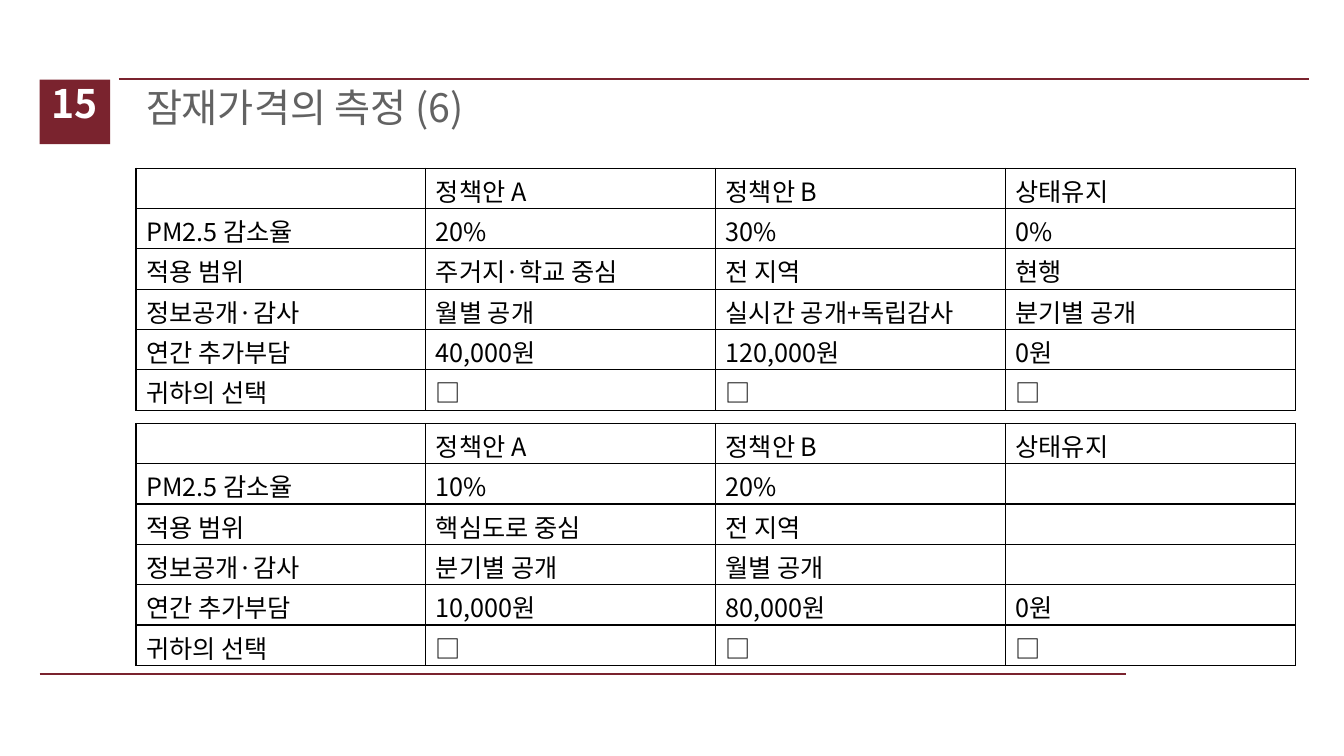
from lxml.etree import SubElement
from pptx import Presentation
from pptx.dml.color import RGBColor
from pptx.enum.shapes import MSO_CONNECTOR, MSO_SHAPE
from pptx.enum.text import MSO_ANCHOR, PP_ALIGN
from pptx.oxml.ns import qn
from pptx.util import Pt

FONT = "Noto Sans CJK KR"
WINE = RGBColor(0x7A, 0x23, 0x2E)
GRAY = RGBColor(0x62, 0x62, 0x62)
WHITE = RGBColor(0xFF, 0xFF, 0xFF)
BLACK = RGBColor(0, 0, 0)


def add_run(paragraph, text, size, color, bold=False):
    run = paragraph.add_run()
    run.text = text
    run.font.size = Pt(size)
    run.font.name = FONT
    run.font.bold = bold
    run.font.color.rgb = color
    SubElement(run.font._element, qn("a:ea"), typeface=FONT)


def add_borders(cell):
    properties = cell._tc.get_or_add_tcPr()
    for index, side in enumerate(("a:lnL", "a:lnR", "a:lnT", "a:lnB")):
        line = SubElement(properties, qn(side), w=str(Pt(1)))
        fill = SubElement(line, qn("a:solidFill"))
        SubElement(fill, qn("a:srgbClr"), val=str(BLACK))
        properties.remove(line)
        properties.insert(index, line)


presentation = Presentation()
presentation.slide_width = Pt(960)
presentation.slide_height = Pt(540)
slide = presentation.slides.add_slide(presentation.slide_layouts[6])

# Rules above and below the content
for left, right, top in ((85, 935.3, 56.5), (28.4, 804.2, 481.7)):
    rule = slide.shapes.add_connector(
        MSO_CONNECTOR.STRAIGHT, Pt(left), Pt(top), Pt(right), Pt(top))
    rule.line.color.rgb = WINE
    rule.line.width = Pt(1.5)
    SubElement(rule._element.spPr, qn("a:effectLst"))

# Square behind the page number
square = slide.shapes.add_shape(
    MSO_SHAPE.RECTANGLE, Pt(28.4), Pt(56.9), Pt(50.4), Pt(46))
square.shadow.inherit = False
square.fill.solid()
square.fill.fore_color.rgb = WINE
square.line.fill.background()

# Page number and title
headings = (
    ("15", 28.4, 56.9, 50.4, 0, PP_ALIGN.CENTER, WHITE, True),
    ("잠재가격의 측정 (6)", 97.2, 59.8, 760, 7.2, PP_ALIGN.LEFT, GRAY, False),
)
for text, left, top, width, inset, alignment, color, bold in headings:
    box = slide.shapes.add_textbox(Pt(left), Pt(top), Pt(width), Pt(41))
    frame = box.text_frame
    frame.word_wrap = True
    frame.margin_left = frame.margin_right = Pt(inset)
    frame.margin_top = frame.margin_bottom = 0
    frame.paragraphs[0].alignment = alignment
    add_run(frame.paragraphs[0], text, 28, color, bold)

# Choice cards: three options by attribute
HEADER = ("", "정책안 A", "정책안 B", "상태유지")
CHOICE = ("귀하의 선택", "□", "□", "□")
cards = (
    (120.2, (
        HEADER,
        ("PM2.5 감소율", "20%", "30%", "0%"),
        ("적용 범위", "주거지·학교 중심", "전 지역", "현행"),
        ("정보공개·감사", "월별 공개", "실시간 공개+독립감사", "분기별 공개"),
        ("연간 추가부담", "40,000원", "120,000원", "0원"),
        CHOICE)),
    (302.4, (
        HEADER,
        ("PM2.5 감소율", "10%", "20%", ""),
        ("적용 범위", "핵심도로 중심", "전 지역", ""),
        ("정보공개·감사", "분기별 공개", "월별 공개", ""),
        ("연간 추가부담", "10,000원", "80,000원", "0원"),
        CHOICE)),
)
for top, rows in cards:
    table = slide.shapes.add_table(
        len(rows), len(HEADER), Pt(97.2), Pt(top), Pt(828), Pt(172.8)).table
    for row_index, row in enumerate(rows):
        table.rows[row_index].height = Pt(28.8)
        for column_index, text in enumerate(row):
            cell = table.cell(row_index, column_index)
            cell.fill.background()
            cell.vertical_anchor = MSO_ANCHOR.MIDDLE
            cell.margin_top = Pt(2.7)
            cell.margin_bottom = 0
            add_borders(cell)
            if text:
                add_run(cell.text_frame.paragraphs[0], text, 18, BLACK)

presentation.save("out.pptx")
